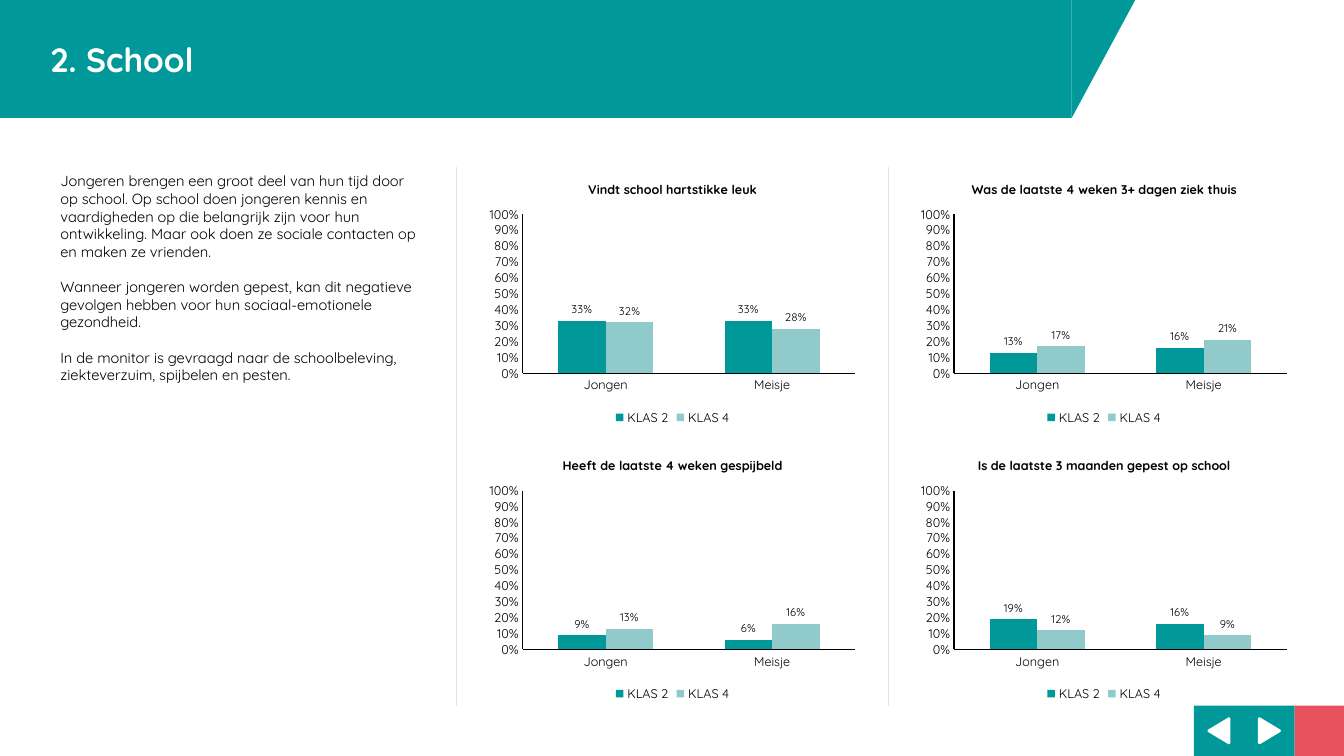
from pptx import Presentation
from pptx import util as u
from pptx.chart.data import CategoryChartData
from pptx.dml.color import RGBColor
from pptx.enum import chart as ch, shapes, text
from pptx.oxml.ns import qn
from lxml import etree

TEAL = RGBColor(0x00, 0x98, 0x98)
MINT = RGBColor(0x91, 0xCA, 0xCA)
RED = RGBColor(0xE8, 0x52, 0x5F)
GREY = RGBColor(0xE3, 0xE3, 0xE3)
WHITE = RGBColor(0xFF, 0xFF, 0xFF)
BLACK = RGBColor(0, 0, 0)

LEFT, TOP, BOTTOM = 0.5, 1.66, 7.0
COL_W, ROW_H, GUTTER, ROW_GAP = 3.78, 2.6, 0.5, 0.14
HEADER_W, HEADER_H, SLANT_W = 10.63, 1.17, 0.63
NAV_LEFT, NAV_SIZE = 11.84, 0.5
ARROW_W, ARROW_H = 0.24, 0.2

INTRO = [
    "Jongeren brengen een groot deel van hun tijd door op school. Op school doen "
    "jongeren kennis en vaardigheden op die belangrijk zijn voor hun ontwikkeling. "
    "Maar ook doen ze sociale contacten op en maken ze vrienden.",
    "Wanneer jongeren worden gepest, kan dit negatieve gevolgen hebben voor hun "
    "sociaal-emotionele gezondheid.",
    "In de monitor is gevraagd naar de schoolbeleving, ziekteverzuim, spijbelen en pesten.",
]
CHARTS = [
    ("Vindt school hartstikke leuk", (0.33, 0.33), (0.32, 0.28)),
    ("Was de laatste 4 weken 3+ dagen ziek thuis", (0.13, 0.16), (0.17, 0.21)),
    ("Heeft de laatste 4 weken gespijbeld", (0.09, 0.06), (0.13, 0.16)),
    ("Is de laatste 3 maanden gepest op school", (0.19, 0.16), (0.12, 0.09)),
]


class Page:
    """Holds the style and the current slide and draws elements on a column grid."""

    def __init__(self, slide, font="Quicksand"):
        self.s = slide
        self.font = font

    def style(self, font, size, color=BLACK, bold=False):
        font.name, font.size, font.bold = self.font, u.Pt(size), bold
        font.color.rgb = color

    def box(self, col, row):
        return (LEFT + col * (COL_W + GUTTER), TOP + row * (ROW_H + ROW_GAP), COL_W, ROW_H)

    def shape(self, kind, x, y, w, h, color, outline=None, rotation=0):
        sp = self.s.shapes.add_shape(kind, *map(u.Inches, (x, y, w, h)))
        sp.shadow.inherit = False
        sp.fill.solid()
        sp.fill.fore_color.rgb = color
        if outline:
            sp.line.color.rgb, sp.line.width = color, u.Pt(outline)
        else:
            sp.line.fill.background()
        sp.rotation = rotation
        return sp

    def header(self, title):
        sp = self.shape(shapes.MSO_SHAPE.RECTANGLE, 0, 0, HEADER_W, HEADER_H, TEAL)
        tf = sp.text_frame
        tf.margin_left = u.Inches(LEFT)
        tf.vertical_anchor = text.MSO_ANCHOR.MIDDLE
        p = tf.paragraphs[0]
        p.text, p.alignment = title, text.PP_ALIGN.LEFT
        self.style(p.font, 24, WHITE, True)
        slant = self.shape(shapes.MSO_SHAPE.RIGHT_TRIANGLE, HEADER_W, 0, SLANT_W, HEADER_H, TEAL)
        slant._element.spPr.xfrm.set("flipV", "1")

    def nav(self, index, color, rotation=None):
        x = NAV_LEFT + index * NAV_SIZE
        self.shape(shapes.MSO_SHAPE.RECTANGLE, x, BOTTOM, NAV_SIZE, NAV_SIZE, color)
        if rotation is not None:
            self.shape(shapes.MSO_SHAPE.ISOSCELES_TRIANGLE, x + (NAV_SIZE - ARROW_W) / 2,
                       BOTTOM + (NAV_SIZE - ARROW_H) / 2, ARROW_W, ARROW_H, WHITE, 2, rotation)

    def divider(self, col):
        x = u.Inches(self.box(col, 0)[0] - GUTTER / 2)
        line = self.s.shapes.add_connector(shapes.MSO_CONNECTOR.STRAIGHT, x, u.Inches(BOTTOM),
                                           x, u.Inches(TOP))
        line.line.color.rgb, line.line.width = GREY, u.Pt(1)
        etree.SubElement(line._element.spPr, qn("a:effectLst"))

    def paragraphs(self, col, row, lines):
        x, y, w, _ = self.box(col, row)
        tf = self.s.shapes.add_textbox(*map(u.Inches, (x, y, w, 2.4))).text_frame
        tf.word_wrap = True
        for i, line in enumerate(lines):
            p = tf.add_paragraph() if i else tf.paragraphs[0]
            p.text = line
            if i:
                p.space_before = u.Pt(12.6)
            self.style(p.font, 10.5)

    def chart(self, col, row, title, klas2, klas4):
        data = CategoryChartData(number_format="0%")
        data.categories = ["Jongen", "Meisje"]
        data.add_series("KLAS 2", klas2)
        data.add_series("KLAS 4", klas4)
        c = self.s.shapes.add_chart(ch.XL_CHART_TYPE.COLUMN_CLUSTERED,
                                    *map(u.Inches, self.box(col, row)), data).chart
        self.style(c.font, 9)
        c.has_title = True
        p = c.chart_title.text_frame.paragraphs[0]
        p.text = title
        self.style(p.font, 9, bold=True)
        c.chart_title.include_in_layout = False
        c.has_legend = True
        c.legend.position = ch.XL_LEGEND_POSITION.BOTTOM
        c.legend.include_in_layout = False
        self.style(c.legend.font, 9)
        for axis in (c.category_axis, c.value_axis):
            axis.has_major_gridlines = False
            axis.major_tick_mark = axis.minor_tick_mark = ch.XL_TICK_MARK.NONE
            axis.format.line.color.rgb, axis.format.line.width = BLACK, u.Pt(1)
            self.style(axis.tick_labels.font, 9)
        axis = c.value_axis
        axis.minimum_scale, axis.maximum_scale, axis.major_unit = 0, 1, 0.1
        axis.tick_labels.number_format = "0%"
        axis.tick_labels.number_format_is_linked = False
        plot = c.plots[0]
        plot.gap_width, plot.overlap, plot.vary_by_categories = 150, 0, False
        for series, color in zip(plot.series, (TEAL, MINT)):
            series.format.fill.solid()
            series.format.fill.fore_color.rgb = color
            labels = series.data_labels
            labels.show_value = True
            labels.position = ch.XL_LABEL_POSITION.OUTSIDE_END
            labels.number_format, labels.number_format_is_linked = "0%", False
            self.style(labels.font, 8)


def main():
    prs = Presentation()
    prs.slide_width, prs.slide_height = u.Inches(13.33), u.Inches(7.5)
    page = Page(prs.slides.add_slide(prs.slide_layouts[6]))
    for i, (color, rotation) in enumerate([(TEAL, 270), (TEAL, 90), (RED, None)]):
        page.nav(i, color, rotation)
    page.header("2. School")
    for col in (1, 2):
        page.divider(col)
    page.paragraphs(0, 0, INTRO)
    for i, values in enumerate(CHARTS):
        page.chart(1 + i % 2, i // 2, *values)
    prs.save("out.pptx")


if __name__ == "__main__":
    main()
